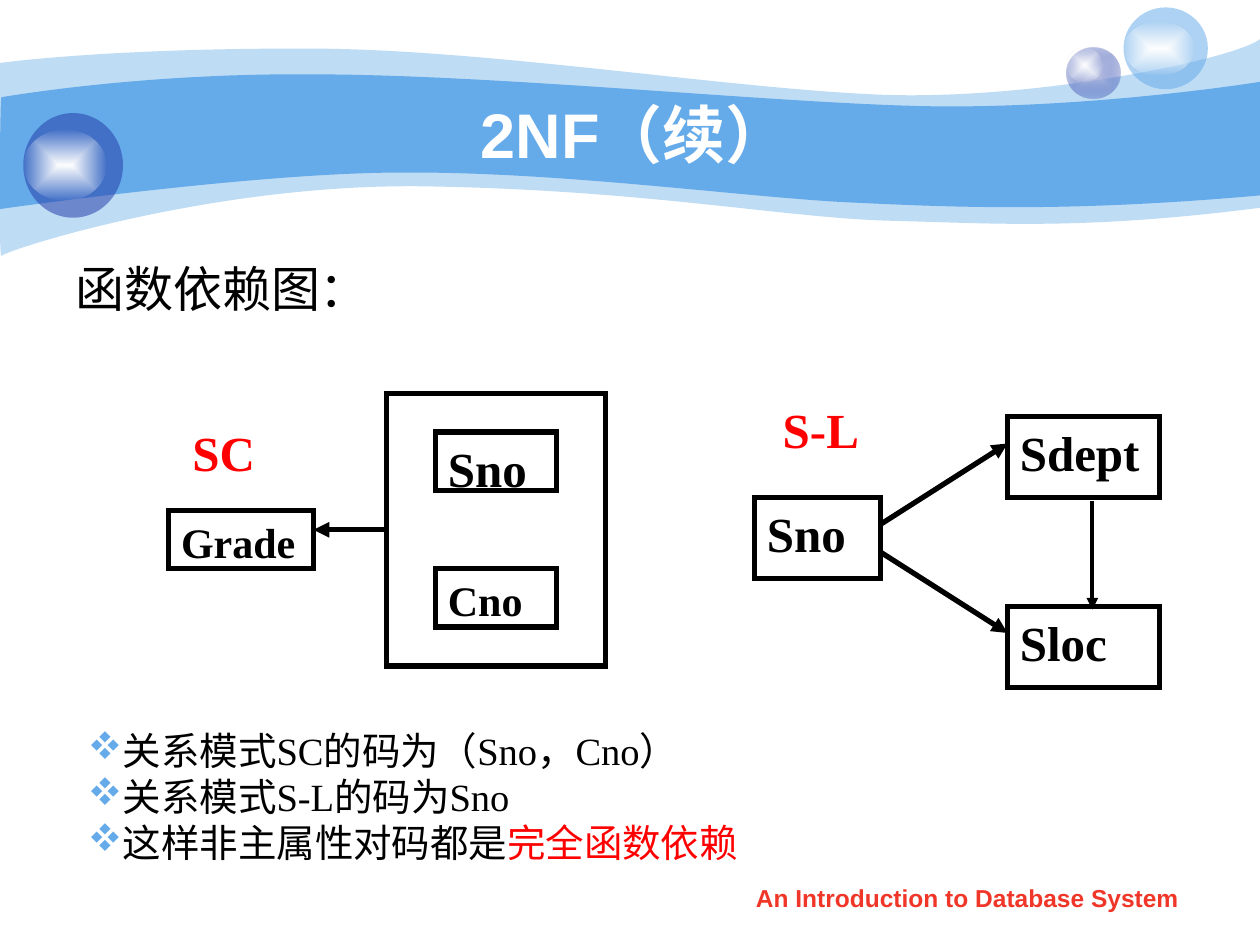
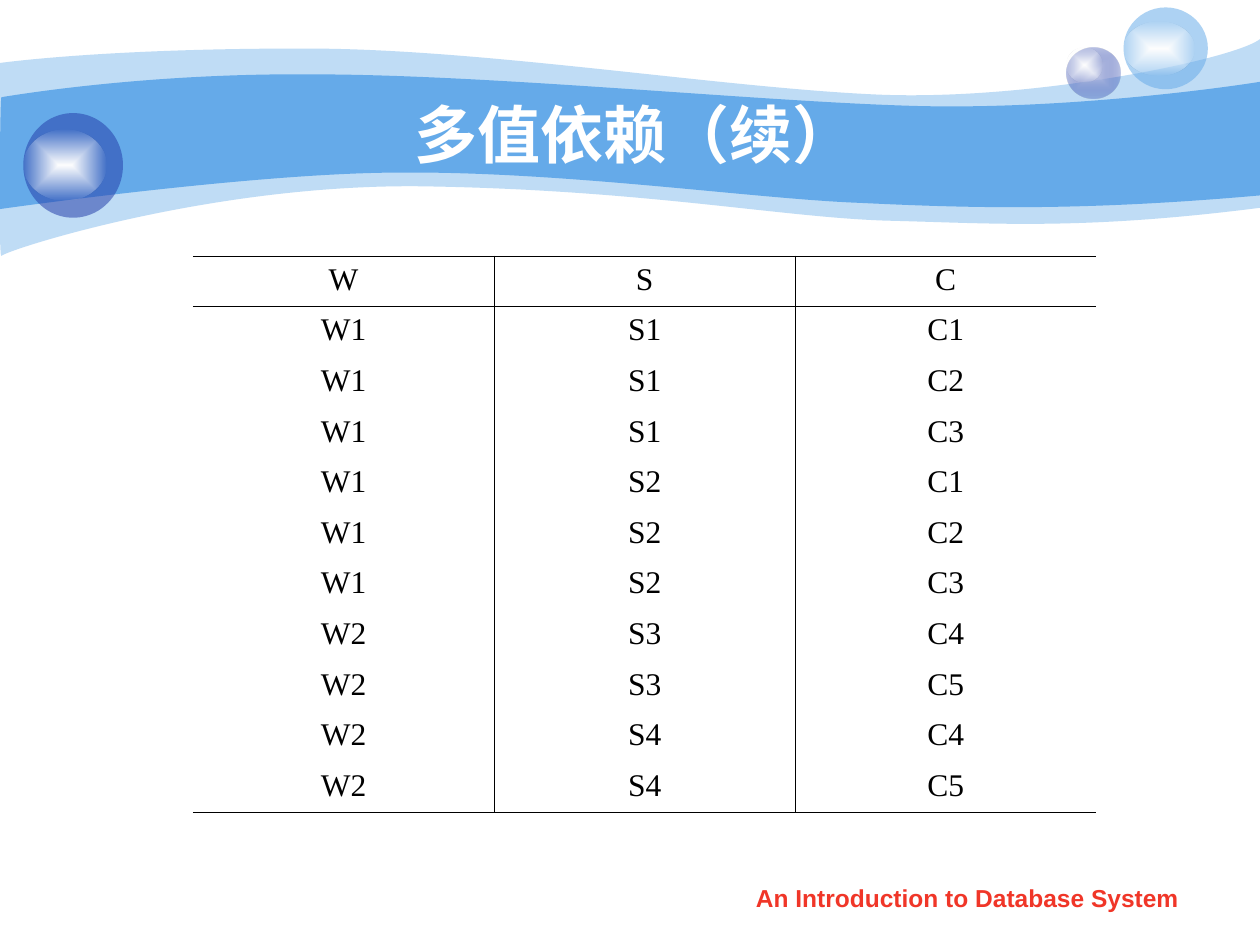
from dataclasses import dataclass
from itertools import product

from lxml import etree
from pptx import Presentation
from pptx.dml.color import RGBColor
from pptx.enum.shapes import MSO_CONNECTOR, MSO_SHAPE
from pptx.enum.text import MSO_ANCHOR, PP_ALIGN
from pptx.oxml import parse_xml
from pptx.oxml.ns import qn
from pptx.util import Cm, Pt

RECTANGLE, OVAL = MSO_SHAPE.RECTANGLE, MSO_SHAPE.OVAL
STRAIGHT = MSO_CONNECTOR.STRAIGHT
TOP, MIDDLE = MSO_ANCHOR.TOP, MSO_ANCHOR.MIDDLE
LEFT, CENTER, JUSTIFY = PP_ALIGN.LEFT, PP_ALIGN.CENTER, PP_ALIGN.JUSTIFY
LEFT_SIDE = 1
NAMESPACE = 'xmlns:a="http://schemas.openxmlformats.org/drawingml/2006/main"'
NO_STYLE_NO_GRID = "{2D5ABB26-0587-4C30-8999-92F81FD0307C}"


@dataclass(frozen=True)
class Theme:
    sky: str = "65AAE9"
    navy: str = "233DA9"
    lilac: str = "C7CEE9"
    white: str = "FFFFFF"
    black: str = "000000"
    red: str = "FF0000"
    footer_red: str = "F03628"
    sans: str = "Arial"
    serif: str = "Times New Roman"
    bullet_font: str = "Wingdings"
    title_size: float = 36
    large_size: float = 28
    medium_size: float = 24
    list_size: float = 22
    table_size: float = 18
    footer_size: float = 14
    box_line: float = 3
    thin_line: float = 2.25
    table_line: float = 0.45


THEME = Theme()

# Wave bands in cm: a start point, then curves (three points) and lines (one point)
LIGHT_WAVE = (
    (0, 1.27),
    [
        [(0.61, 1.19), (2.72, 0.97), (6.27, 0.98)],
        [(9.8, 0.99), (14.61, 1.78), (17.75, 1.91)],
        [(20.88, 2.03), (24.89, 1.19), (25.4, 0.79)],
        [(25.4, 4.19)],
        [(21.79, 4.65), (19.99, 4.5), (17.91, 4.45)],
        [(15.8, 4.39), (13.08, 3.84), (8.71, 3.76)],
        [(4.37, 3.66), (0.1, 5.05), (0.03, 5.16)],
        [(-0.03, 5.28), (0, 1.91), (0, 1.27)],
    ],
)
DARK_WAVE = (
    (0.03, 1.96),
    [
        [(0.05, 1.96), (2.79, 1.47), (6.3, 1.5)],
        [(9.8, 1.5), (15.11, 2.03), (18.24, 2.13)],
        [(21.36, 2.24), (24.79, 1.75), (25.4, 1.65)],
        [(25.4, 3.94)],
        [(21.67, 4.27), (19.43, 4.19), (17.32, 4.09)],
        [(15.21, 4.01), (11.35, 3.45), (8.05, 3.48)],
        [(5.16, 3.48), (-0.05, 4.22), (-0.03, 4.22)],
        [(0, 4.22), (0, 1.96), (0.03, 1.96)],
    ],
)


def bend_segments(shape, segments):
    """Join each run of three line points into one cubic curve."""
    lines = iter(list(shape._element.iter(qn("a:lnTo"))))
    for segment in segments:
        group = [next(lines) for _ in segment]
        if len(group) == 3:
            curve = etree.Element(qn("a:cubicBezTo"))
            group[0].addprevious(curve)
            for line in group:
                curve.append(line[0])
                line.getparent().remove(line)


def add_bullet(paragraph, color):
    properties = paragraph._p.get_or_add_pPr()
    for xml in (
        f'<a:buClr {NAMESPACE}><a:srgbClr val="{color}"/></a:buClr>',
        f'<a:buFont {NAMESPACE} typeface="{THEME.bullet_font}" charset="2"/>',
        f'<a:buChar {NAMESPACE} char="v"/>',
    ):
        properties.append(parse_xml(xml))


def write_text(frame, text, *, size, font=THEME.serif, color=THEME.black, bold=False,
               align=LEFT, anchor=TOP, highlight=None, bullet=None,
               line_spacing=None, space_before=None):
    """Write one paragraph per line; the highlighted words turn red."""
    frame.word_wrap = True
    frame.vertical_anchor = anchor
    for index, line in enumerate(text.split("\n")):
        paragraph = frame.add_paragraph() if index else frame.paragraphs[0]
        paragraph.alignment = align
        if line_spacing:
            paragraph.line_spacing = line_spacing
        if space_before:
            paragraph.space_before = Pt(space_before)
        if bullet:
            add_bullet(paragraph, bullet)
        parts = line.partition(highlight) if highlight else (line,)
        for part in filter(None, parts):
            run = paragraph.add_run()
            run.text = part
            run.font.name, run.font.size, run.font.bold = font, Pt(size), bold
            run.font.color.rgb = RGBColor.from_string(
                THEME.red if part == highlight else color)


class Deck:
    """Holds the style and the current slide."""

    def __init__(self, theme):
        self.theme = theme
        self.presentation = Presentation()
        self.presentation.slide_width = Cm(25.4)
        self.presentation.slide_height = Cm(19.05)
        self.slide = None

    def new_slide(self, title):
        theme = self.theme
        self.slide = self.presentation.slides.add_slide(
            self.presentation.slide_layouts[6])
        # Wave bands
        self.wave(*LIGHT_WAVE, alpha=41)
        self.wave(*DARK_WAVE)
        # Balls, each with a highlight on top
        shine = ((theme.white, 100), (theme.white, 0))
        self.ball(21.51, 0.97, 1.07, 1.02, gradient=((theme.lilac, 100), (theme.navy, 31)))
        self.ball(21.51, 0.97, 0.71, 0.69, gradient=shine)
        self.ball(22.65, 0.15, 1.7, 1.65, color=theme.sky)
        self.ball(22.65, 0.43, 1.42, 1.09, gradient=shine)
        self.ball(0.47, 2.28, 2.01, 2.11, color=theme.navy)
        self.ball(0.47, 2.62, 1.68, 1.42, gradient=shine)
        # Footer and title
        self.text(14.5, 17.74, 10.01, 0.89, "An Introduction to Database System",
                  size=theme.footer_size, font=theme.sans, color=theme.footer_red,
                  bold=True, align=CENTER, line_spacing=0.9, space_before=3.5)
        self.text(2.54, 1.9, 20.52, 1.57, title, size=theme.title_size, font=theme.sans,
                  color=theme.white, bold=True, align=CENTER, anchor=MIDDLE)

    def paint(self, shape, color, alpha=100):
        shape.shadow.inherit = False
        shape.line.fill.background()
        shape.fill.solid()
        shape.fill.fore_color.rgb = RGBColor.from_string(color)
        if alpha < 100:
            rgb = shape._element.spPr.find(qn("a:solidFill")).find(qn("a:srgbClr"))
            etree.SubElement(rgb, qn("a:alpha"), val=str(alpha * 1000))

    def wave(self, start, segments, alpha=100):
        builder = self.slide.shapes.build_freeform(
            *(Cm(value) for value in start))
        builder.add_line_segments(
            [(Cm(x), Cm(y)) for segment in segments for x, y in segment], close=True)
        shape = builder.convert_to_shape()
        bend_segments(shape, segments)
        self.paint(shape, self.theme.sky, alpha)

    def ball(self, left, top, width, height, color=None, gradient=None):
        shape = self.slide.shapes.add_shape(
            OVAL, Cm(left), Cm(top), Cm(width), Cm(height))
        self.paint(shape, color or self.theme.white, alpha=53)
        if gradient:
            stops = "".join(
                f'<a:gs pos="{index * 100000}"><a:srgbClr val="{stop_color}">'
                f'<a:alpha val="{alpha * 1000}"/></a:srgbClr></a:gs>'
                for index, (stop_color, alpha) in enumerate(gradient))
            properties = shape._element.spPr
            properties.replace(properties.find(qn("a:solidFill")), parse_xml(
                f'<a:gradFill {NAMESPACE} rotWithShape="1"><a:gsLst>{stops}</a:gsLst>'
                '<a:path path="rect"><a:fillToRect l="50000" t="50000" r="50000" b="50000"/>'
                '</a:path></a:gradFill>'))

    def text(self, left, top, width, height, text, **style):
        shape = self.slide.shapes.add_textbox(Cm(left), Cm(top), Cm(width), Cm(height))
        write_text(shape.text_frame, text, **style)

    def box(self, left, top, width, height, text="", size=THEME.large_size):
        shape = self.slide.shapes.add_shape(
            RECTANGLE, Cm(left), Cm(top), Cm(width), Cm(height))
        shape.shadow.inherit = False
        shape.fill.background()
        shape.line.color.rgb = RGBColor.from_string(self.theme.black)
        shape.line.width = Pt(self.theme.box_line)
        etree.SubElement(shape.line._get_or_add_ln(), qn("a:miter"), lim="800000")
        if text:
            write_text(shape.text_frame, text, size=size, bold=True, align=JUSTIFY)
        return shape

    def arrow(self, start, end, width=THEME.box_line, source=None, side=LEFT_SIDE):
        connector = self.slide.shapes.add_connector(
            STRAIGHT, *(Cm(value) for value in (*start, *end)))
        if source is not None:
            connector.begin_connect(source, side)
        connector.line.color.rgb = RGBColor.from_string(self.theme.black)
        connector.line.width = Pt(width)
        line = connector.line._get_or_add_ln()
        etree.SubElement(line, qn("a:tailEnd"), type="triangle")
        etree.SubElement(connector._element.spPr, qn("a:effectLst"))

    def table(self, left, top, column_width, row_height, rows):
        row_count, column_count = len(rows), len(rows[0])
        table = self.slide.shapes.add_table(
            row_count, column_count, Cm(left), Cm(top),
            Cm(column_width * column_count), Cm(row_height * row_count)).table
        table.first_row = table.horz_banding = False
        table._tbl.tblPr.find(qn("a:tableStyleId")).text = NO_STYLE_NO_GRID
        for column in table.columns:
            column.width = Cm(column_width)
        for row_index, row in enumerate(rows):
            table.rows[row_index].height = Cm(row_height)
            for column_index, value in enumerate(row):
                cell = table.cell(row_index, column_index)
                cell.fill.background()
                write_text(cell.text_frame, value, size=self.theme.table_size, align=CENTER)
                # Rules around the header, at the foot and between columns
                self.cell_borders(cell, {
                    "lnL": column_index > 0,
                    "lnR": column_index < column_count - 1,
                    "lnT": row_index < 2,
                    "lnB": row_index in (0, row_count - 1),
                })

    def cell_borders(self, cell, sides):
        properties = cell._tc.get_or_add_tcPr()
        ink = f'<a:solidFill><a:srgbClr val="{self.theme.black}"/></a:solidFill>'
        for index, (side, shown) in enumerate(sides.items()):
            properties.insert(index, parse_xml(
                f'<a:{side} {NAMESPACE} w="{Pt(self.theme.table_line)}">'
                f'{ink if shown else "<a:noFill/>"}</a:{side}>'))


def build_dependency_slide(deck):
    theme = deck.theme
    label = dict(size=theme.large_size, color=theme.red, bold=True, align=JUSTIFY)
    deck.new_slide("2NF（续）")
    deck.text(1.27, 5.08, 22.86, 12.5, "函数依赖图：", size=theme.large_size,
              font=theme.sans, space_before=7)

    # SC: (Sno, Cno) determines Grade
    key_box = deck.box(7.79, 7.93, 4.42, 5.5)
    deck.box(8.78, 8.71, 2.44, 1.18, "Sno")
    deck.box(8.78, 11.46, 2.44, 1.18, "Cno", size=theme.medium_size)
    deck.box(3.4, 10.29, 2.92, 1.17, "Grade", size=theme.medium_size)
    deck.arrow((7.79, 10.68), (6.32, 10.68), source=key_box)
    deck.text(3.63, 8.39, 2.46, 1.17, "SC", **label)

    # S-L: Sno determines Sdept and Sloc
    deck.text(15.53, 7.93, 3.07, 1.65, "S-L", **label)
    deck.box(15.21, 10.03, 2.54, 1.64, "Sno")
    deck.box(20.31, 8.39, 3.07, 1.64, "Sdept")
    deck.box(20.31, 12.22, 3.07, 1.64, "Sloc")
    deck.arrow((17.75, 10.57), (20.31, 8.94))
    deck.arrow((17.75, 11.13), (20.31, 12.76))
    deck.arrow((22.02, 10.09), (22.02, 12.29), width=theme.thin_line)

    # Conclusions
    deck.text(1.52, 14.53, 13.74, 3.05,
              "关系模式SC的码为（Sno，Cno）\n关系模式S-L的码为Sno\n"
              "这样非主属性对码都是完全函数依赖",
              size=theme.list_size, anchor=MIDDLE, highlight="完全函数依赖",
              bullet=theme.sky)


def build_multivalued_slide(deck):
    deck.new_slide("多值依赖（续）")
    rows = [("W", "S", "C"),
            *product(["W1"], ["S1", "S2"], ["C1", "C2", "C3"]),
            *product(["W2"], ["S3", "S4"], ["C4", "C5"])]
    deck.table(3.89, 5.16, 6.07, 1.02, rows)


def main():
    deck = Deck(THEME)
    build_dependency_slide(deck)
    build_multivalued_slide(deck)
    deck.presentation.save("out.pptx")


if __name__ == "__main__":
    main()
